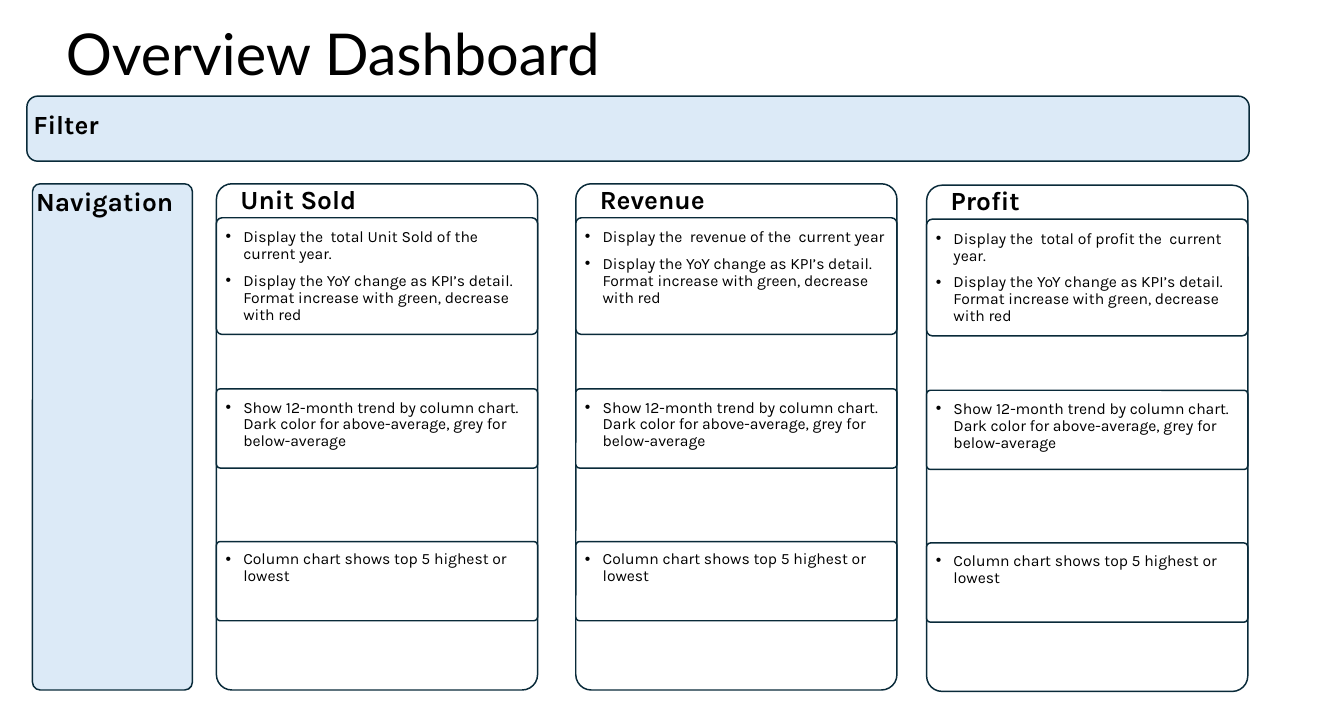
import pptx
import pptx.util
import pptx.dml.color
import pptx.enum.shapes
import pptx.enum.text
import lxml.etree

Inches = pptx.util.Inches
Pt = pptx.util.Pt
color = pptx.dml.color.RGBColor.from_string


def add_panel(left, top, width, height, fill, corner=0.048):
    shape = slide.shapes.add_shape(
        pptx.enum.shapes.MSO_SHAPE.ROUNDED_RECTANGLE,
        Inches(left), Inches(top), Inches(width), Inches(height))
    shape.adjustments[0] = corner
    shape.shadow.inherit = False
    shape.fill.solid()
    shape.fill.fore_color.rgb = color(fill)
    shape.line.color.rgb = color("092A39")
    shape.line.width = Pt(1.5)


def add_text(left, top, width, height, lines, bulleted=False):
    box = slide.shapes.add_textbox(Inches(left), Inches(top), Inches(width), Inches(height))
    frame = box.text_frame
    frame.word_wrap = True
    frame.auto_size = pptx.enum.text.MSO_AUTO_SIZE.SHAPE_TO_FIT_TEXT
    frame.margin_left = frame.margin_right = Inches(0.13)
    frame.margin_top = frame.margin_bottom = Inches(0.07)
    for index, line in enumerate(lines):
        paragraph = frame.add_paragraph() if index else frame.paragraphs[0]
        paragraph.line_spacing = 0.9
        paragraph.space_before = Pt(10)
        if bulleted:
            properties = paragraph._p.get_or_add_pPr()
            properties.set("marL", str(Inches(0.25)))
            properties.set("indent", str(Inches(-0.25)))
            namespace = properties.nsmap["a"]
            font = lxml.etree.SubElement(properties, f"{{{namespace}}}buFont")
            font.set("typeface", "Arial")
            bullet = lxml.etree.SubElement(properties, f"{{{namespace}}}buChar")
            bullet.set("char", "•")
        run = paragraph.add_run()
        run.text = line
        run.font.name = "Karla"
        run.font.size = Pt(16 if bulleted else 26.7)
        run.font.bold = not bulleted
        run.font.color.rgb = color("000000")


presentation = pptx.Presentation()
presentation.slide_width = Inches(19)
presentation.slide_height = Inches(10)
slide = presentation.slides.add_slide(presentation.slide_layouts[5])

title = slide.shapes.title
title.left, title.top = Inches(0.83), Inches(0.24)
title.width, title.height = Inches(17.35), Inches(1.12)
title.text_frame.auto_size = pptx.enum.text.MSO_AUTO_SIZE.NONE
title.text_frame.vertical_anchor = pptx.enum.text.MSO_ANCHOR.MIDDLE
heading = title.text_frame.paragraphs[0]
heading.alignment = pptx.enum.text.PP_ALIGN.LEFT
heading.line_spacing = 0.9
run = heading.add_run()
run.text = "Overview Dashboard"
run.font.name = "Lato"
run.font.size = Pt(58.7)
run.font.color.rgb = color("000000")

add_panel(0.38, 1.36, 17.28, 0.92, "DCEAF7", 0.1667)
add_text(0.34, 1.51, 1.25, 0.54, ["Filter"])
add_panel(0.46, 2.6, 2.26, 7.16, "DCEAF7")
add_text(0.38, 2.6, 2.26, 0.54, ["Navigation"])

change = "Display the YoY change as KPI’s detail. Format increase with green, decrease with red"
trend = "Show 12-month trend by column chart. Dark color for above-average, grey for below-average"
ranking = "Column chart shows top 5 highest or lowest"
card_width = 4.54
cards = [
    ("Unit Sold", 3.06, 2.6, "Display the  total Unit Sold of the current year.", 1.49),
    ("Revenue", 8.14, 2.6, "Display the  revenue of the  current year", 1.25),
    ("Profit", 13.1, 2.62, "Display the  total of profit the  current year.", 1.49),
]

for name, left, top, total, total_height in cards:
    add_panel(left, top, card_width, 7.16, "FFFFFF")
    add_text(left + 0.21, top - 0.03, 2.07, 0.54, [name])
    sections = [
        (0.48, 1.65, 0.09, total_height, [total, change]),
        (2.9, 1.12, 0.08, 0.86, [trend]),
        (5.06, 1.12, 0.07, 0.62, [ranking]),
    ]
    for offset, height, gap, text_height, lines in sections:
        add_panel(left, top + offset, card_width, height, "FFFFFF")
        add_text(left, top + offset + gap, card_width, text_height, lines, bulleted=True)

presentation.save("out.pptx")
